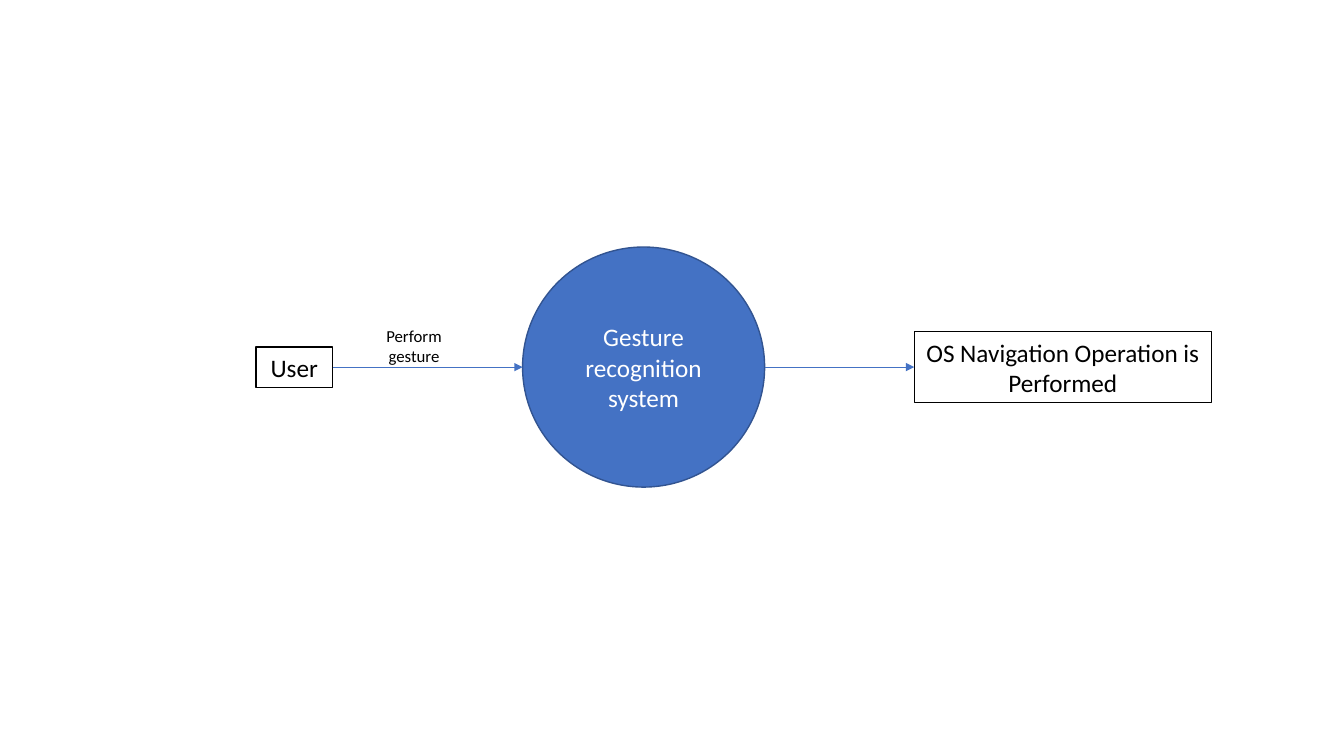
from dataclasses import dataclass

from lxml.etree import SubElement
from pptx import Presentation
from pptx.dml.color import RGBColor
from pptx.enum.shapes import MSO_CONNECTOR as Link, MSO_SHAPE as Kind
from pptx.enum.text import MSO_ANCHOR as Anchor, PP_ALIGN as Align
from pptx.oxml.ns import qn
from pptx.shapes.autoshape import Shape
from pptx.shapes.connector import Connector
from pptx.slide import Slide
from pptx.util import Cm, Pt

MID = 9.25  # height of the flow axis, cm
BLUE, NAVY, BLACK, WHITE = "4472C4", "325491", "000000", "FFFFFF"


@dataclass
class Node:
    text: str
    left: float
    width: float
    height: float
    kind: Kind = Kind.RECTANGLE
    fill: str = WHITE
    line: str = BLACK
    ink: str = BLACK

    @property
    def right(self) -> float:
        return self.left + self.width


USER = Node("User", 6.45, 1.93, 1.02)
SYSTEM = Node("Gesture recognition system", 13.17, 6.1, 6.05,
              Kind.OVAL, BLUE, NAVY, WHITE)
RESULT = Node("OS Navigation Operation is Performed", 23.04, 7.49, 1.8)


def rgb(code: str) -> RGBColor:
    return RGBColor.from_string(code)


def write(shape: Shape, text: str, size: int = 18, color: str = BLACK,
          wrap: bool = True, anchor: Anchor = Anchor.MIDDLE) -> None:
    frame = shape.text_frame
    frame.text = text
    frame.word_wrap = wrap
    frame.vertical_anchor = anchor
    for para in frame.paragraphs:
        para.alignment = Align.CENTER
        for run in para.runs:
            run.font.name = "Calibri"
            run.font.size = Pt(size)
            run.font.color.rgb = rgb(color)


def draw(slide: Slide, node: Node) -> Shape:
    shape = slide.shapes.add_shape(
        node.kind, Cm(node.left), Cm(MID - node.height / 2),
        Cm(node.width), Cm(node.height))
    shape.shadow.inherit = False
    shape.fill.solid()
    shape.fill.fore_color.rgb = rgb(node.fill)
    shape.line.color.rgb = rgb(node.line)
    shape.line.width = Pt(1)
    write(shape, node.text, color=node.ink)
    return shape


def arrow(slide: Slide, start: float, end: float) -> Connector:
    """Draw an arrow along the flow axis."""
    link = slide.shapes.add_connector(
        Link.STRAIGHT, Cm(start), Cm(MID), Cm(end), Cm(MID))
    link.line.color.rgb = rgb(BLUE)
    link.line.width = Pt(0.5)
    SubElement(link.line._get_or_add_ln(), qn("a:tailEnd"), type="triangle")
    SubElement(link._element.spPr, qn("a:effectLst"))
    return link


def main() -> None:
    deck = Presentation()
    deck.slide_width, deck.slide_height = Cm(33.87), Cm(19.05)
    slide = deck.slides.add_slide(deck.slide_layouts[6])

    draw(slide, SYSTEM)
    user = draw(slide, USER)
    result = draw(slide, RESULT)

    arrow(slide, USER.right, SYSTEM.left).begin_connect(user, 3)
    arrow(slide, SYSTEM.right, RESULT.left).end_connect(result, 1)

    label = slide.shapes.add_textbox(Cm(9.47), Cm(8.08), Cm(1.93), Cm(1.27))
    write(label, "Perform\ngesture", size=12, wrap=False, anchor=Anchor.TOP)

    deck.save("out.pptx")


if __name__ == "__main__":
    main()
